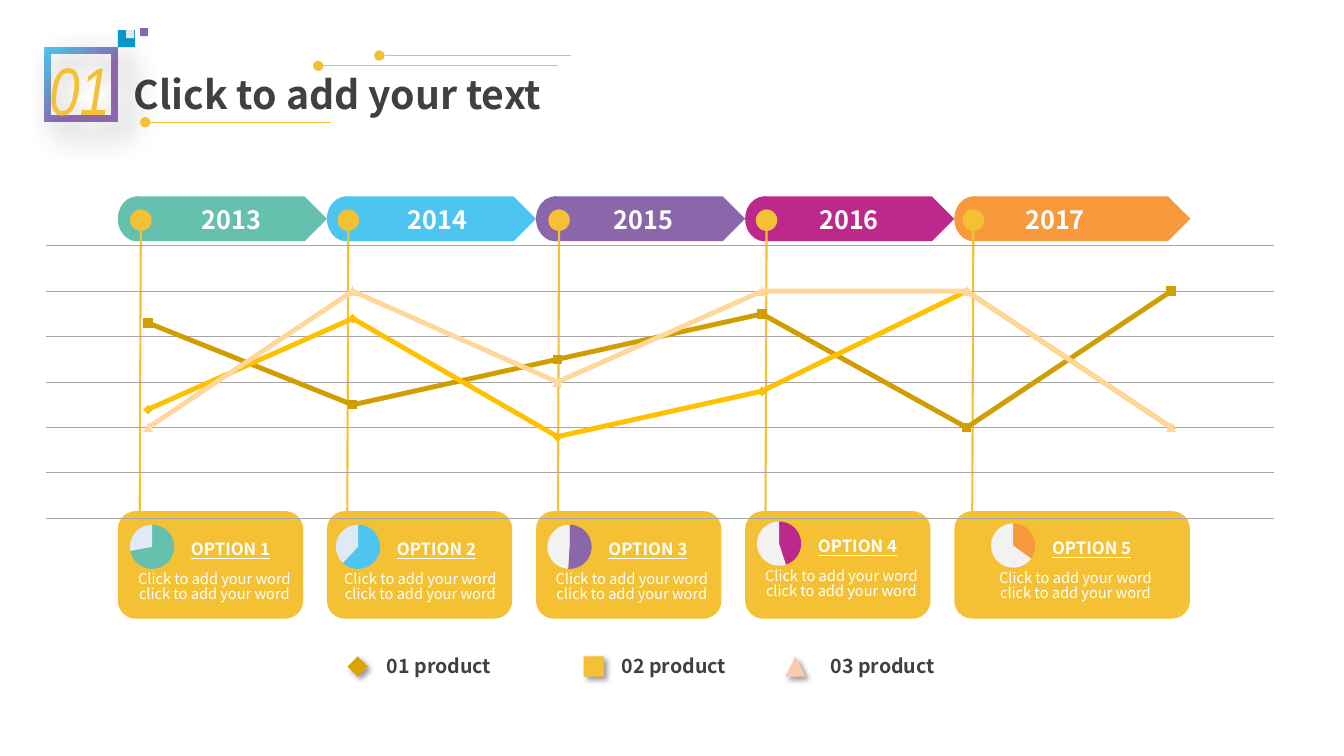
from lxml.etree import SubElement
from pptx import Presentation
from pptx.chart.data import CategoryChartData
from pptx.dml.color import RGBColor
from pptx.enum.chart import XL_CHART_TYPE, XL_MARKER_STYLE
from pptx.enum.shapes import MSO_CONNECTOR, MSO_SHAPE
from pptx.enum.text import MSO_ANCHOR, MSO_AUTO_SIZE, PP_ALIGN
from pptx.oxml import parse_xml
from pptx.oxml.ns import nsdecls, qn
from pptx.util import Cm, Pt

GOLD = RGBColor(0xF4, 0xC1, 0x34)
TEAL = RGBColor(0x65, 0xC0, 0xAE)
SKY = RGBColor(0x4C, 0xC5, 0xF1)
PURPLE = RGBColor(0x8B, 0x66, 0xAA)
MAGENTA = RGBColor(0xBD, 0x29, 0x8A)
ORANGE = RGBColor(0xF7, 0x99, 0x3C)
BLUE = RGBColor(0x06, 0x98, 0xCB)
DARK = RGBColor(0x40, 0x40, 0x40)
GRID = RGBColor(0xA6, 0xA6, 0xA6)
RULE = RGBColor(0xBF, 0xBF, 0xBF)
PALE_BLUE = RGBColor(0xDE, 0xEB, 0xF7)
PALE_GRAY = RGBColor(0xF2, 0xF2, 0xF2)
LIGHT_GRAY = RGBColor(0xE6, 0xE6, 0xE6)
OCHRE = RGBColor(0xDD, 0xA3, 0x00)
PEACH = RGBColor(0xF8, 0xCB, 0xAD)
WHITE = RGBColor(0xFF, 0xFF, 0xFF)
FONT = "Noto Sans CJK SC"

# Year, arrow colour, pin left, pie left, pie top, share, rest colour
YEARS = [
    ("2013", TEAL, 3.28, 2.46, 12.88, 72, PALE_BLUE),
    ("2014", SKY, 8.51, 7.65, 12.88, 62, PALE_BLUE),
    ("2015", PURPLE, 13.82, 12.98, 12.88, 51, PALE_GRAY),
    ("2016", MAGENTA, 19.05, 18.26, 12.8, 45, PALE_GRAY),
    ("2017", ORANGE, 24.26, 24.16, 12.85, 35, PALE_GRAY),
]
SERIES = [
    ("Series 1", (86, 50, 70, 90, 40, 100), RGBColor(0xD0, 0x9E, 0x00), XL_MARKER_STYLE.SQUARE),
    ("Series 2", (48, 88, 36, 56, 100, 40), RGBColor(0xFF, 0xC0, 0x00), XL_MARKER_STYLE.DIAMOND),
    ("Series 3", (40, 100, 60, 100, 100, 40), RGBColor(0xFF, 0xD7, 0x9B), XL_MARKER_STYLE.TRIANGLE),
]
# The second line ends level with the fifth point's gold peak
LEGEND = [
    ("01 product", MSO_SHAPE.DIAMOND, OCHRE, 8.76, 9.5),
    ("02 product", MSO_SHAPE.RECTANGLE, GOLD, 14.71, 15.42),
    ("03 product", MSO_SHAPE.ISOSCELES_TRIANGLE, PEACH, 19.79, 20.68),
]


def add_block(slide, kind, left, top, width, height, color):
    shape = slide.shapes.add_shape(kind, Cm(left), Cm(top), Cm(width), Cm(height))
    shape.shadow.inherit = False
    shape.fill.solid()
    shape.fill.fore_color.rgb = color
    shape.line.fill.background()
    return shape


def add_shadow(shape, blur, distance):
    effects = shape._element.spPr.find(qn("a:effectLst"))
    effects.append(parse_xml(
        f'<a:outerShdw {nsdecls("a")} blurRad="{Pt(blur)}" dist="{Pt(distance)}" dir="2700000" '
        'algn="tl" rotWithShape="0"><a:srgbClr val="000000"><a:alpha val="40000"/>'
        '</a:srgbClr></a:outerShdw>'))


def add_line(slide, start, end, color, width):
    points = [Cm(value) for value in (*start, *end)]
    line = slide.shapes.add_connector(MSO_CONNECTOR.STRAIGHT, *points)
    line.line.color.rgb = color
    line.line.width = Pt(width)
    SubElement(line._element.spPr, qn("a:effectLst"))


def write(frame, text, size, color, bold=False, align=PP_ALIGN.CENTER, name=FONT):
    frame.word_wrap = True
    frame.auto_size = MSO_AUTO_SIZE.NONE
    frame.vertical_anchor = MSO_ANCHOR.TOP
    frame.text = text
    paragraph = frame.paragraphs[0]
    paragraph.alignment = align
    font = paragraph.font
    font.name, font.size, font.bold = name, Pt(size), bold
    font.color.rgb = color
    return paragraph


def add_label(slide, left, top, width, height, *text, **style):
    box = slide.shapes.add_textbox(Cm(left), Cm(top), Cm(width), Cm(height))
    return write(box.text_frame, *text, **style)


def add_plain_chart(slide, kind, place, series, plot_box):
    data = CategoryChartData()
    data.categories = [str(n + 1) for n in range(len(series[0][1]))]
    for name, values in series:
        data.add_series(name, values)
    chart = slide.shapes.add_chart(kind, *[Cm(value) for value in place], data).chart
    chart.has_legend = chart.has_title = False
    chart.font.name, chart.font.size = "Calibri", Pt(18)
    # Fixed inner plot area
    area = chart._chartSpace.chart.plotArea
    for old in area.findall(qn("c:layout")):
        area.remove(old)
    values = "".join(f'<c:{tag} val="{value}"/>' for tag, value in zip("xywh", plot_box))
    area.insert(0, parse_xml(
        f'<c:layout {nsdecls("c")}><c:manualLayout><c:layoutTarget val="inner"/>'
        f'<c:xMode val="edge"/><c:yMode val="edge"/>{values}</c:manualLayout></c:layout>'))
    return chart


def add_trend_chart(slide):
    chart = add_plain_chart(slide, XL_CHART_TYPE.LINE_MARKERS, (0.51, 6.05, 32.23, 7.16),
                            [row[:2] for row in SERIES], (0.02, 0.02, 0.96, 0.96))
    chart.font.color.rgb = RGBColor(0x80, 0x80, 0x80)
    axis = chart.value_axis
    axis.minimum_scale, axis.maximum_scale, axis.major_unit = 0, 120, 20
    axis.major_gridlines.format.line.color.rgb = GRID
    axis.major_gridlines.format.line.width = Pt(0.75)
    axis.visible = chart.category_axis.visible = False
    chart.plots[0].vary_by_categories = False
    for series, (_, _, color, marker) in zip(chart.plots[0].series, SERIES):
        series.smooth = False
        series.format.line.color.rgb = color
        series.format.line.width = Pt(3.5)
        series.marker.style, series.marker.size = marker, 6
        series.marker.format.fill.solid()
        series.marker.format.fill.fore_color.rgb = color
        series.marker.format.line.fill.background()


def add_pie(slide, left, top, share, colors):
    chart = add_plain_chart(slide, XL_CHART_TYPE.PIE, (left, top, 2.72, 1.8),
                            [("Series 1", (share, 100 - share))], (0.3, 0.19, 0.41, 0.62))
    chart.font.color.rgb = RGBColor(0, 0, 0)
    chart.plots[0].vary_by_categories = False
    for index, color in enumerate(colors):
        point = chart.plots[0].series[0].points[index].format
        point.fill.solid()
        point.fill.fore_color.rgb = color
        point.line.fill.background()


def add_timeline(slide):
    # Year arrows and cards
    for index, (_, color, *_) in enumerate(YEARS):
        left = 2.97 + 5.27 * index
        extra = 0.68 if index == len(YEARS) - 1 else 0
        card_extra = 1.27 if extra else 0
        add_block(slide, MSO_SHAPE.PENTAGON, left + 0.44, 4.95, 4.83 + extra, 1.13, color)
        add_block(slide, MSO_SHAPE.OVAL, left, 4.95, 0.96, 1.13, color)
        add_block(slide, MSO_SHAPE.ROUNDED_RECTANGLE, left, 12.88, 4.67 + card_extra, 2.71, GOLD)
    # Pins and years
    for index, (year, _, pin, *_) in enumerate(YEARS):
        add_block(slide, MSO_SHAPE.OVAL, pin, 5.28, 0.54, 0.54, GOLD)
        add_line(slide, (pin + 0.27, 5.28), (pin + 0.24, 13.44), GOLD, 1.5)
        add_label(slide, 4.04 + 5.19 * index, 5.03, 3.58, 1.02, year, 18, WHITE, True)


def add_options(slide):
    for number, (_, color, _, left, top, share, rest) in enumerate(YEARS, 1):
        add_pie(slide, left, top, share, (color, rest))
        heading = add_label(slide, left + 1.98, top + 0.58, 2.74, 0.76,
                            f"OPTION {number}", 12, WHITE, True)
        heading.font.underline = True
        body = add_label(slide, left + 0.53, top + 1.42, 4.83, 1.6,
                         "Click to add your word click to add your word", 10.5, WHITE)
        body.line_spacing = 0.85


def add_legend(slide):
    for text, kind, color, icon_left, text_left in LEGEND:
        icon = add_block(slide, kind, icon_left, 16.54, 0.51, 0.51, color)
        add_shadow(icon, 4, 3)
        add_label(slide, text_left, 16.36, 3.58, 0.86, text, 14, DARK, True, align=PP_ALIGN.LEFT)


def add_header(slide):
    title = slide.shapes.title
    title.left, title.top, title.width, title.height = Cm(3.12), Cm(1.65), Cm(11.51), Cm(1.45)
    write(title.text_frame, "Click to add your text", 28, DARK, True, PP_ALIGN.LEFT)
    # Numbered frame
    frame = add_block(slide, MSO_SHAPE.FRAME, 1.12, 1.19, 1.85, 1.88, SKY)
    frame.adjustments[0] = 0.083
    frame.fill.gradient()
    frame.fill.gradient_angle = 315
    for stop, color, position in zip(frame.fill.gradient_stops, (SKY, PURPLE), (0, 0.61)):
        stop.color.rgb, stop.position = color, position
    add_shadow(frame, 23, 12)
    number = add_label(slide, 0.89, 1.09, 2.24, 2.29, "01", 48, GOLD, name="Arial Narrow")
    number.font.italic = True
    # Small squares
    for left, top, side, color in ((2.97, 0.76, 0.43, BLUE), (3.53, 0.71, 0.2, PURPLE),
                                   (3.18, 0.76, 0.2, LIGHT_GRAY)):
        add_block(slide, MSO_SHAPE.RECTANGLE, left, top, side, side, color)
    # Dotted rules
    for x, y, end, color in ((8.02, 1.66, 14.05, RULE), (3.66, 3.08, 8.33, GOLD),
                             (9.56, 1.4, 14.38, RULE)):
        add_block(slide, MSO_SHAPE.OVAL, x - 0.13, y - 0.13, 0.26, 0.26, GOLD)
        add_line(slide, (x + 0.13, y), (end, y), color, 0.75)


def main():
    presentation = Presentation()
    presentation.slide_width, presentation.slide_height = Cm(33.87), Cm(19.05)
    slide = presentation.slides.add_slide(presentation.slide_layouts[5])
    add_timeline(slide)
    add_trend_chart(slide)
    add_legend(slide)
    add_options(slide)
    add_header(slide)
    presentation.save("out.pptx")


if __name__ == "__main__":
    main()
